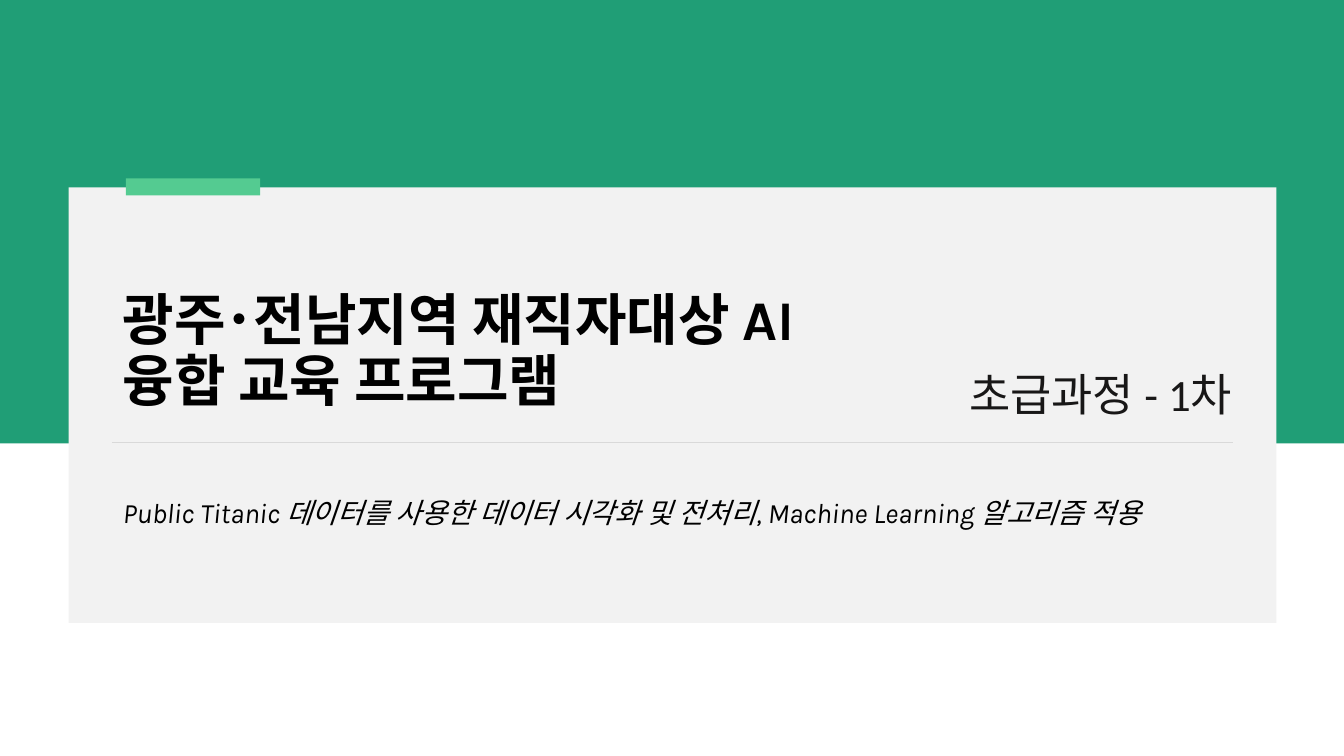
"""Build the title slide of an AI training programme."""
import pptx
import pptx.util
import pptx.dml.color
import pptx.enum.shapes
import pptx.enum.text
import lxml.etree
from pptx.util import Inches

RGBColor = pptx.dml.color.RGBColor
ALIGN = pptx.enum.text.PP_ALIGN
ANCHOR = pptx.enum.text.MSO_ANCHOR

GREEN = RGBColor(0x20, 0x9E, 0x76)
LIGHT_GREEN = RGBColor(0x54, 0xCB, 0x91)
PANEL_GREY = RGBColor(0xF2, 0xF2, 0xF2)
RULE_GREY = RGBColor(0xD9, 0xD9, 0xD9)
BLACK = RGBColor(0, 0, 0)
NEAR_BLACK = RGBColor(0x18, 0x17, 0x17)


def add_block(slide, left, top, width, height, color):
    """Add a plain filled rectangle."""
    block = slide.shapes.add_shape(
        pptx.enum.shapes.MSO_SHAPE.RECTANGLE,
        Inches(left), Inches(top), Inches(width), Inches(height))
    block.shadow.inherit = False
    block.fill.solid()
    block.fill.fore_color.rgb = color
    block.line.fill.background()


def add_rule(slide, left, right, top):
    """Add a thin horizontal line."""
    rule = slide.shapes.add_connector(
        pptx.enum.shapes.MSO_CONNECTOR.STRAIGHT,
        Inches(left), Inches(top), Inches(right), Inches(top))
    rule.line.color.rgb = RULE_GREY
    rule.line.width = pptx.util.Pt(0.75)
    properties = rule._element.spPr
    lxml.etree.SubElement(properties, pptx.oxml.ns.qn("a:effectLst"))


def add_text(slide, left, top, width, height, text, size, font="Karla",
             color=BLACK, bold=False, italic=False, align=ALIGN.LEFT,
             anchor=ANCHOR.TOP, spacing=1.0):
    """Add a wrapped one-paragraph text box."""
    frame = slide.shapes.add_textbox(
        Inches(left), Inches(top), Inches(width), Inches(height)).text_frame
    frame.word_wrap = True
    frame.vertical_anchor = anchor
    paragraph = frame.paragraphs[0]
    paragraph.text = text
    paragraph.alignment = align
    paragraph.line_spacing = spacing
    paragraph.font.name = font
    paragraph.font.size = pptx.util.Pt(size)
    paragraph.font.bold = bold
    paragraph.font.italic = italic
    paragraph.font.color.rgb = color


def main():
    """Compose and save the slide."""
    deck = pptx.Presentation()
    deck.slide_width = Inches(13.33)
    deck.slide_height = Inches(7.5)
    slide = deck.slides.add_slide(deck.slide_layouts[6])

    add_block(slide, 0, 0, 13.33, 4.4, GREEN)
    add_block(slide, 0.68, 1.86, 11.98, 4.32, PANEL_GREY)
    add_text(slide, 1.12, 2.02, 7.73, 2.13,
             "광주･전남지역 재직자대상 AI융합 교육 프로그램", 40,
             bold=True, anchor=ANCHOR.BOTTOM, spacing=0.9)
    add_rule(slide, 1.11, 12.23, 4.39)
    add_text(slide, 1.12, 4.83, 11.54, 0.91,
             "Public Titanic 데이터를 사용한 데이터 시각화 및 전처리, "
             "Machine Learning 알고리즘 적용", 20, italic=True, spacing=1.1)
    add_block(slide, 1.25, 1.77, 1.33, 0.17, LIGHT_GREEN)
    add_text(slide, 7.86, 3.59, 4.46, 0.64, "초급과정 - 1차", 32,
             font="Calibri", color=NEAR_BLACK, align=ALIGN.RIGHT)

    deck.save("out.pptx")


if __name__ == "__main__":
    main()
